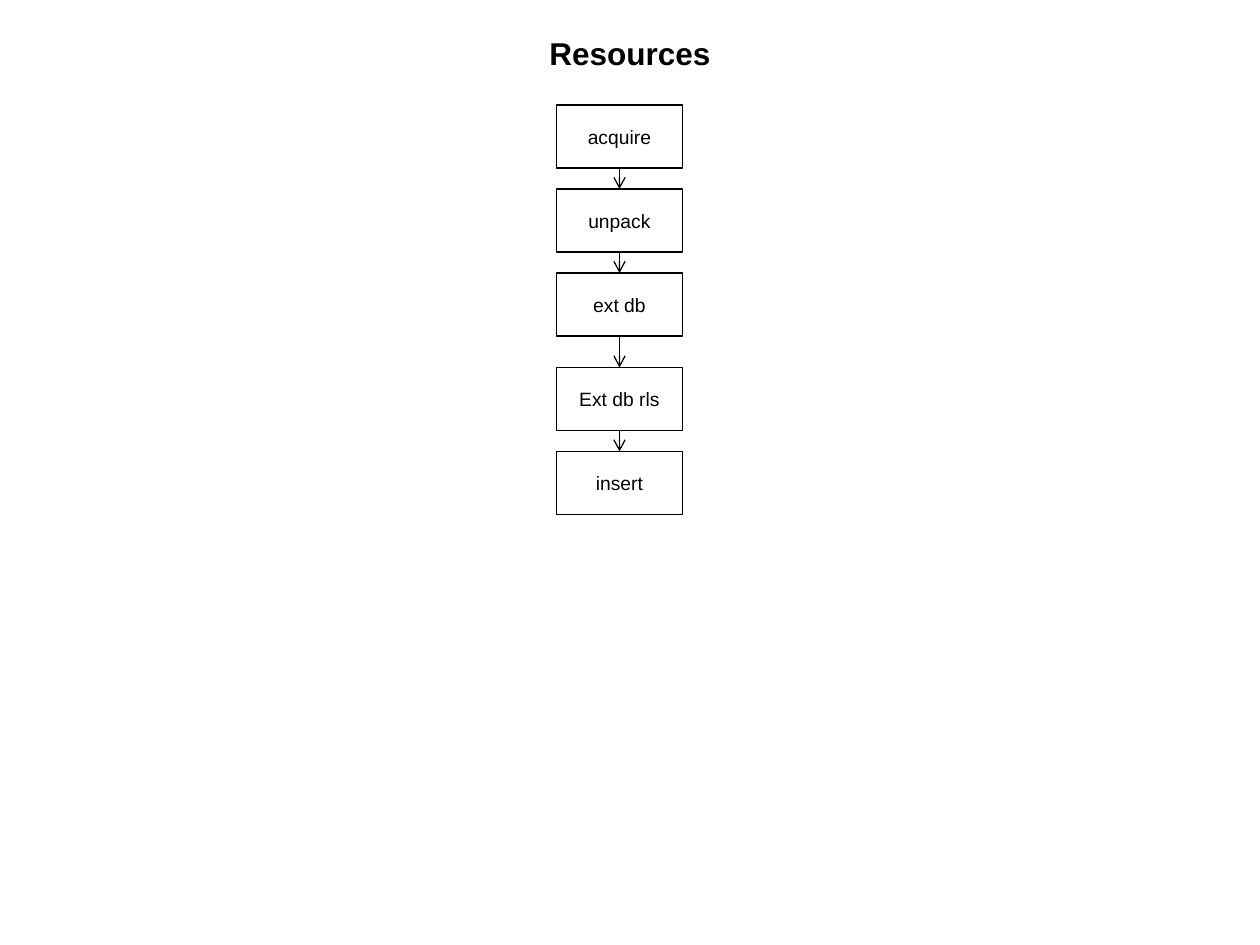
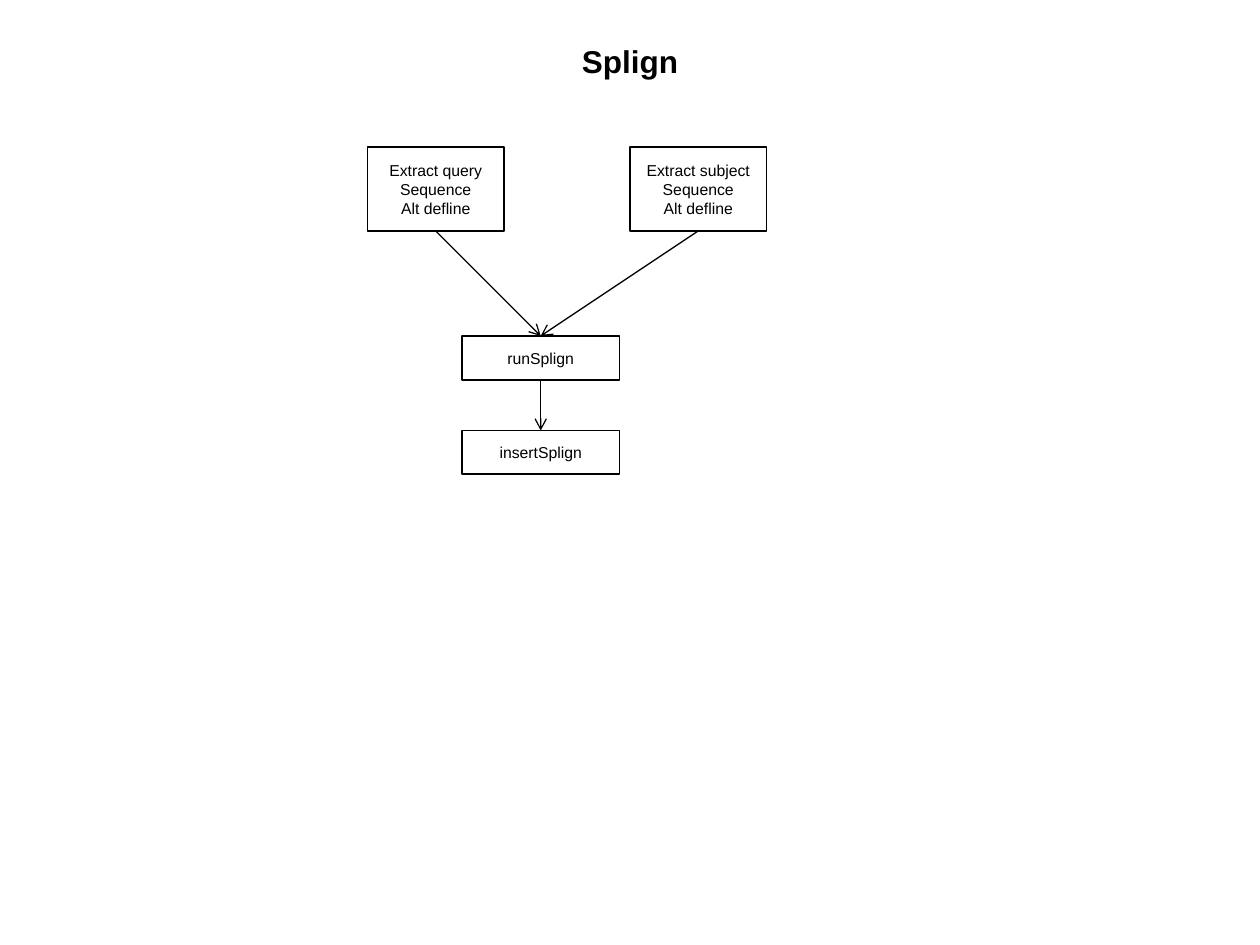
import itertools
from dataclasses import dataclass

import pptx
import pptx.dml.color
import pptx.enum.shapes
import pptx.enum.text
import pptx.oxml.ns
import pptx.util
from lxml import etree

Pt = pptx.util.Pt
ANCHOR = pptx.enum.text.MSO_ANCHOR
CENTER = pptx.enum.text.PP_ALIGN.CENTER
TOP, BOTTOM = 0, 2


@dataclass(frozen=True)
class Theme:
    font: str = "Arial"
    ink: pptx.dml.color.RGBColor = pptx.dml.color.RGBColor(0, 0, 0)
    title_size: int = 18
    resource_size: int = 11
    splign_size: int = 9
    thin: float = 0.75
    thick: float = 1


THEME = Theme()


def place(shape, left, top, width, height):
    shape.left, shape.top = Pt(left), Pt(top)
    shape.width, shape.height = Pt(width), Pt(height)


def write(frame, lines, size, bold=False):
    frame.text = "\n".join(lines)
    frame.vertical_anchor = ANCHOR.MIDDLE
    for paragraph in frame.paragraphs:
        paragraph.alignment = CENTER
        paragraph.font.name = THEME.font
        paragraph.font.size = Pt(size)
        paragraph.font.bold = bold
        paragraph.font.color.rgb = THEME.ink


def add_titled_slide(deck, heading, bounds):
    slide = deck.slides.add_slide(deck.slide_layouts.get_by_name("Title Only"))
    place(slide.shapes.title, *bounds)
    write(slide.shapes.title.text_frame, [heading], THEME.title_size, bold=True)
    return slide


def add_step(slide, lines, bounds, size, outline=THEME.thin):
    step = slide.shapes.add_shape(
        pptx.enum.shapes.MSO_SHAPE.RECTANGLE, *map(Pt, bounds))
    step.shadow.inherit = False
    step.fill.background()
    step.line.color.rgb = THEME.ink
    step.line.width = Pt(outline)
    step.text_frame.word_wrap = False
    write(step.text_frame, lines, size)
    return step


def add_arrow(slide, source, target):
    arrow = slide.shapes.add_connector(
        pptx.enum.shapes.MSO_CONNECTOR.STRAIGHT, 0, 0, 0, 0)
    arrow.begin_connect(source, BOTTOM)
    arrow.end_connect(target, TOP)
    arrow.line.color.rgb = THEME.ink
    arrow.line.width = Pt(THEME.thin)
    qn = pptx.oxml.ns.qn
    etree.SubElement(arrow.line._get_or_add_ln(), qn("a:tailEnd"), type="arrow")
    etree.SubElement(arrow._element.spPr, qn("a:effectLst"))


def build_resources(deck):
    slide = add_titled_slide(deck, "Resources", (294, 18, 132, 24))
    stages = {"acquire": 60, "unpack": 108, "ext db": 156,
              "Ext db rls": 210, "insert": 258}
    steps = [add_step(slide, [label], (318, top, 72, 36), THEME.resource_size)
             for label, top in stages.items()]
    for source, target in itertools.pairwise(steps):
        add_arrow(slide, source, target)


def build_splign(deck):
    slide = add_titled_slide(deck, "Splign", (36, 21.5, 648, 27))
    extracts = [
        add_step(slide, [f"Extract {role}", "Sequence", "Alt defline"],
                 (left, 84, 78, 48), THEME.splign_size)
        for role, left in (("query", 210), ("subject", 360))]
    run, insert = [
        add_step(slide, [label], (264, top, 90, 25), THEME.splign_size, THEME.thick)
        for label, top in (("runSplign", 192), ("insertSplign", 246))]
    for extract in extracts:
        add_arrow(slide, extract, run)
    add_arrow(slide, run, insert)


def main():
    deck = pptx.Presentation()
    deck.slide_width, deck.slide_height = Pt(720), Pt(540)
    build_resources(deck)
    build_splign(deck)
    deck.save("out.pptx")


if __name__ == "__main__":
    main()
